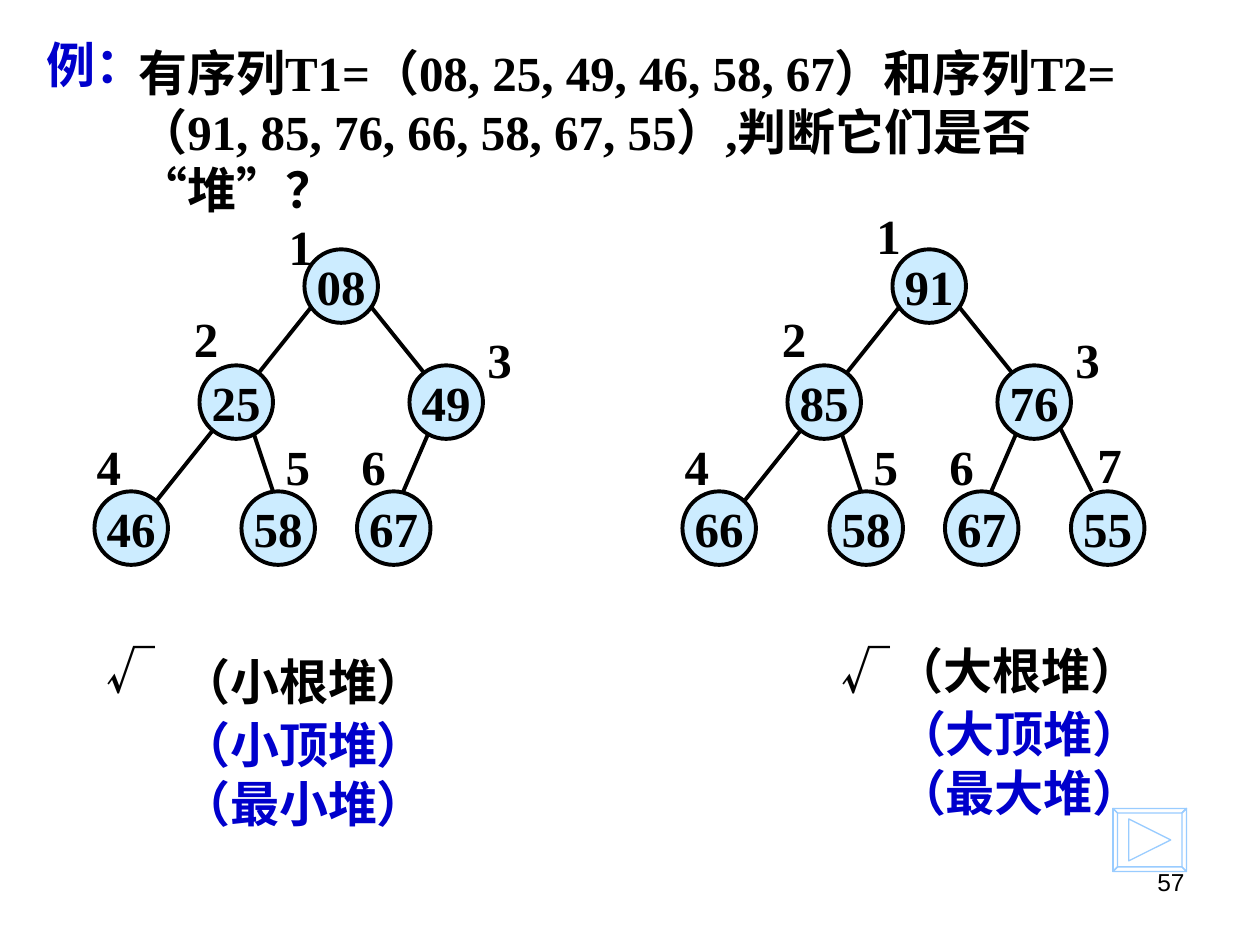
from lxml import etree
from pptx import Presentation
from pptx.dml.color import RGBColor
from pptx.enum.shapes import MSO_CONNECTOR, MSO_SHAPE
from pptx.enum.text import MSO_ANCHOR, PP_ALIGN
from pptx.oxml.ns import qn
from pptx.util import Pt

STRAIGHT, ELLIPSE = MSO_CONNECTOR.STRAIGHT, MSO_SHAPE.OVAL
MIDDLE, LEFT = MSO_ANCHOR.MIDDLE, PP_ALIGN.LEFT
CENTER, RIGHT = PP_ALIGN.CENTER, PP_ALIGN.RIGHT

BLACK = RGBColor(0x00, 0x00, 0x00)
BLUE = RGBColor(0x00, 0x00, 0xCC)
NODE_FILL = RGBColor(0xCC, 0xEC, 0xFF)
BUTTON_LINE = RGBColor(0x99, 0xCC, 0xFF)
SERIF, SANS, CJK = "Times New Roman", "Arial", "Noto Sans CJK SC"

QUESTION = ("有序列T1=（08, 25, 49, 46, 58, 67）和序列T2="
            "（91, 85, 76, 66, 58, 67, 55）,判断它们是否 “堆”？")

# Each heap: left offset, top of the root's index, values in level order
HEAPS = [
    (0, 120, ["08", "25", "49", "46", "58", "67"]),
    (336, 114, ["91", "85", "76", "66", "58", "67", "55"]),
]
# Level-order positions, relative to the heap's left offset
NODE_POSITIONS = [(174, 142.5), (114, 208.8), (234, 208.8), (54, 280.8),
                  (138, 280.8), (204, 280.8), (276, 280.8)]
INDEX_POSITIONS = [(157.8, 120), (103.7, 172.8), (271.5, 185), (48.2, 246.2),
                   (156.2, 246.2), (199.4, 246.2), (284, 244.8)]
# Last node an edge reaches, start and end; the edge to 4 passes behind 2
EDGES = [
    (6, (246, 244.8), (228, 286.5)),
    (5, (144, 244.8), (156, 280.8)),
    (3, (210, 172.8), (258, 232.5)),
    (4, (180, 172.8), (84, 293)),
    (7, (270, 244.8), (288, 280.8)),
]
NODE_SIZE = 42

# Text, left, top, width, height, colour
ANSWERS = [
    (["√"], 54, 360, 31, 41, BLACK),
    (["（小根堆）"], 96.5, 366, 154, 41, BLACK),
    (["（小顶堆）", "（最小堆）"], 96.5, 402, 168, 75, BLUE),
    (["√"], 474, 360, 31, 41, BLACK),
    (["（大根堆）"], 504, 360, 173.5, 41, BLACK),
    (["（大顶堆）", "（最大堆）"], 505.5, 396, 154, 75, BLUE),
]


def format_text(frame, lines, font, size=28, color=BLACK, bold=True,
                align=LEFT, line_height=None):
    frame.text = "\n".join(lines)
    for paragraph in frame.paragraphs:
        paragraph.alignment = align
        if line_height:
            paragraph.line_spacing = Pt(line_height)
        for run in paragraph.runs:
            run.font.name, run.font.size = font, Pt(size)
            run.font.bold, run.font.color.rgb = bold, color
            east_asian = etree.SubElement(run.font._element, qn("a:ea"))
            east_asian.set("typeface", CJK)


def add_text(shapes, lines, left, top, width, height, font, wrap=False, **style):
    box = shapes.add_textbox(Pt(left), Pt(top), Pt(width), Pt(height))
    box.text_frame.word_wrap = wrap
    format_text(box.text_frame, lines, font, **style)
    return box.text_frame


def add_chinese(shapes, lines, left, top, width, height, font=CJK, **style):
    """Add text on a fixed line pitch, lowered to sit on its baseline."""
    frame = add_text(shapes, lines, left, top, width, height, font,
                     line_height=33.6, **style)
    frame.margin_top = Pt(6.3)
    return frame


def add_edge(shapes, offset, start, end):
    edge = shapes.add_connector(STRAIGHT, Pt(offset + start[0]), Pt(start[1]),
                                Pt(offset + end[0]), Pt(end[1]))
    edge.line.color.rgb, edge.line.width = BLACK, Pt(2.25)
    etree.SubElement(edge._element.spPr, qn("a:effectLst"))


def add_node(shapes, value, left, top):
    node = shapes.add_shape(ELLIPSE, Pt(left), Pt(top), Pt(NODE_SIZE), Pt(NODE_SIZE))
    node.shadow.inherit = False
    node.fill.solid()
    node.fill.fore_color.rgb = NODE_FILL
    node.line.color.rgb, node.line.width = BLACK, Pt(2.25)
    node.text_frame.word_wrap = False
    node.text_frame.vertical_anchor = MIDDLE
    format_text(node.text_frame, [value], SERIF, align=CENTER)


def add_heap(slide, offset, root_index_top, values):
    shapes = slide.shapes.add_group_shape().shapes
    for last_node, start, end in EDGES:
        if last_node <= len(values):
            add_edge(shapes, offset, start, end)
    for value, (x, y) in zip(values, NODE_POSITIONS):
        add_node(shapes, value, offset + x, y)
    for i, (x, y) in enumerate(INDEX_POSITIONS[:len(values)], 1):
        top = root_index_top if i == 1 else y
        add_text(shapes, [str(i)], offset + x, top, 28, 41, SERIF)


def add_next_button(shapes, left, top, width, height, bevel):
    """Draw a bevelled frame around a forward triangle."""
    right, bottom = left + width, top + height
    outer = [(left, top), (right, top), (right, bottom), (left, bottom)]
    inner = [(left + bevel, top + bevel), (right - bevel, top + bevel),
             (right - bevel, bottom - bevel), (left + bevel, bottom - bevel)]
    contours = [outer]
    for i in range(4):
        j = (i + 1) % 4
        contours.append([outer[i], outer[j], inner[j], inner[i]])
    middle = top + height / 2
    contours.append([(left + 9, middle - 12), (left + 33, middle),
                     (left + 9, middle + 12)])

    builder = shapes.build_freeform(Pt(left), Pt(top))
    for contour in contours:
        first, *others = [(Pt(x), Pt(y)) for x, y in contour]
        builder.move_to(*first)
        builder.add_line_segments(others, close=True)
    button = builder.convert_to_shape()
    button.shadow.inherit = False
    button.fill.background()
    button.line.color.rgb, button.line.width = BUTTON_LINE, Pt(0.75)


def main():
    deck = Presentation()
    deck.slide_width, deck.slide_height = Pt(720), Pt(540)
    slide = deck.slides.add_slide(deck.slide_layouts[6])
    shapes = slide.shapes

    add_text(shapes, ["57"], 516, 492, 168, 37.5, SANS, wrap=True,
             size=14, bold=False, align=RIGHT)
    for heap in HEAPS:
        add_heap(slide, *heap)
    heading = add_chinese(shapes, ["例："], 19.5, 20, 91, 30, SANS,
                          wrap=True, color=BLUE)
    heading.vertical_anchor = MIDDLE
    add_chinese(shapes, [QUESTION], 72, 18, 612, 108, SERIF, wrap=True)
    add_next_button(shapes, 636, 462, 42, 36, 2.6)
    for lines, left, top, width, height, color in ANSWERS:
        add_chinese(shapes, lines, left, top, width, height, color=color)

    deck.save("out.pptx")


if __name__ == "__main__":
    main()
